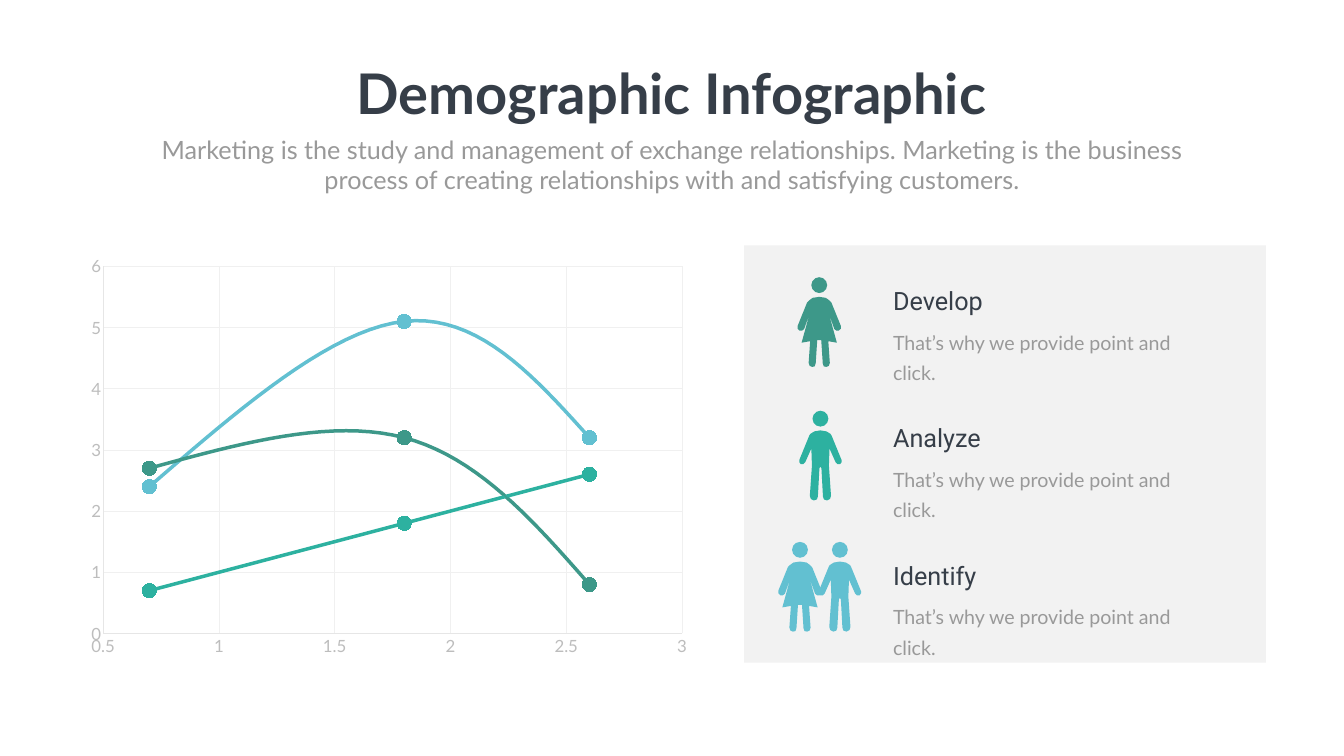
"""Build the demographic infographic slide."""
from lxml import etree
from pptx import Presentation
from pptx import util as u
from pptx.chart import data
from pptx.dml import color
from pptx.enum import chart as kinds, shapes, text
from pptx.oxml import ns

NAVY = color.RGBColor(0x36, 0x3E, 0x48)
GREY = color.RGBColor(0x99, 0x99, 0x99)
PALE = color.RGBColor(0xBD, 0xBD, 0xBD)
AXIS = color.RGBColor(0xE6, 0xE6, 0xE6)
GRID = color.RGBColor(0xF0, 0xF0, 0xF0)
PANEL = color.RGBColor(0x80, 0x80, 0x80)
GREEN = color.RGBColor(0x3D, 0x98, 0x89)
TEAL = color.RGBColor(0x2D, 0xB1, 0xA0)
BLUE = color.RGBColor(0x62, 0xC0, 0xD1)

TITLE = {"name": "Lato", "size": u.Pt(80), "bold": True}
LEAD = {"name": "Lato", "size": u.Pt(36), "bold": False}
HEAD = {"name": "Roboto", "size": u.Pt(36)}
BODY = {"name": "Lato", "size": u.Pt(28)}
TICK = {"name": "Lato", "size": u.Pt(24)}

MAN = [(0, 0), (12, 2), (20, 7), (22, 10), (42, 59), (42, 63), (39, 67),
       (34, 67), (30, 63), (18, 36), (17, 66), (17, 72), (21, 130), (19, 136),
       (13, 139), (7, 137), (5, 131), (2, 75), (0, 72)]
WOMAN = [(0, 0), (13, 2), (20, 7), (24, 11), (43, 58), (43, 63), (39, 67),
         (34, 67), (30, 64), (19, 33), (35, 91), (18, 88), (21, 131), (19, 137),
         (14, 139), (9, 138), (7, 132), (4, 86), (0, 86)]
PEOPLE = [(WOMAN, 41.28, 13.97, GREEN), (MAN, 41.34, 20.7, TEAL),
          (MAN, 42.32, 27.31, BLUE), (WOMAN, 40.31, 27.31, BLUE)]

XS = [0.7, 1.8, 2.6]
SERIES = [([2.7, 3.2, 0.8], GREEN, 1.5, 5), ([0.7, 1.8, 2.6], TEAL, 5, 20),
          ([2.7, 3.2, 0.8], GREEN, 5, 20), ([2.4, 5.1, 3.2], BLUE, 5, 20)]


def apply(item, values):
    """Set each named value on an object."""
    for name, value in values.items():
        setattr(item, name, value)


def place(box):
    """Turn left, top, width and height in centimetres into lengths."""
    return [u.Cm(side) for side in box]


def paint(shape, tint):
    """Give a shape a plain fill without line or shadow."""
    shape.fill.solid()
    shape.fill.fore_color.rgb = tint
    shape.line.fill.background()
    shape.shadow.inherit = False


def write(shape, words, look, tint, align, wrap=True):
    """Write one formatted paragraph into a shape."""
    frame = shape.text_frame
    apply(frame, {"text": words, "word_wrap": wrap,
                  "auto_size": text.MSO_AUTO_SIZE.NONE,
                  "vertical_anchor": text.MSO_ANCHOR.TOP})
    para = frame.paragraphs[0]
    apply(para, {"alignment": align, "space_before": u.Pt(0)})
    apply(para.font, look)
    para.font.color.rgb = tint
    return para


def fill_holder(holder, box, *style):
    """Move a placeholder and write its centred text."""
    apply(holder, dict(zip(("left", "top", "width", "height"), place(box))))
    write(holder, *style[:3], text.PP_ALIGN.CENTER, *style[3:])


def add_item(slide, top, title):
    """Add a heading with its short description."""
    left = text.PP_ALIGN.LEFT
    head = slide.shapes.add_textbox(*place((44.75, top, 11.2, 1.8)))
    write(head, title, HEAD, NAVY, left)
    body = slide.shapes.add_textbox(*place((44.75, top + 1.96, 16.7, 1.63)))
    para = write(body, "That’s why we provide point and click.", BODY, GREY, left)
    para.line_spacing = u.Pt(43)


def add_person(slide, half, mid, top, tint):
    """Draw a symmetric figure from one half outline and a round head."""
    group = slide.shapes.add_group_shape().shapes
    points = half + [(-x, y) for x, y in reversed(half)]
    pen = group.build_freeform(*points[0], scale=u.Cm(2.54) / 100)
    pen.add_line_segments(points[1:])
    paint(pen.convert_to_shape(u.Cm(mid), u.Cm(top + 0.99)), tint)
    disc = place((mid - 0.4, top, 0.8, 0.8))
    paint(group.add_shape(shapes.MSO_SHAPE.OVAL, *disc), tint)


def add_panel(slide):
    """Add the translucent panel behind the items."""
    box = place((37.49, 12.37, 26.29, 21.03))
    panel = slide.shapes.add_shape(shapes.MSO_SHAPE.RECTANGLE, *box)
    paint(panel, PANEL)
    tint = panel.fill._xPr.find(".//" + ns.qn("a:srgbClr"))
    etree.SubElement(tint, ns.qn("a:alpha"), val="10000")


def rule(line, tint, width):
    """Colour a line and set its width."""
    line.color.rgb = tint
    line.width = u.Pt(width)


def style_axis(axis, low, high, step):
    """Set the range, labels, line and grid of an axis."""
    none = kinds.XL_TICK_MARK.NONE
    apply(axis, {"minimum_scale": low, "maximum_scale": high, "major_unit": step,
                 "major_tick_mark": none, "minor_tick_mark": none,
                 "has_major_gridlines": True})
    apply(axis.tick_labels, {"number_format": "General",
                             "number_format_is_linked": False})
    apply(axis.tick_labels.font, TICK)
    axis.tick_labels.font.color.rgb = PALE
    rule(axis.format.line, AXIS, 0.75)
    rule(axis.major_gridlines.format.line, GRID, 0.75)


def set_plot(chart, **sides):
    """Fix the inner plot area as fractions of the chart."""
    area = chart._chartSpace.chart.plotArea
    for old in area.findall(ns.qn("c:layout")):
        area.remove(old)
    layout = etree.Element(ns.qn("c:layout"))
    area.insert(0, layout)
    manual = etree.SubElement(layout, ns.qn("c:manualLayout"))
    values = {"layoutTarget": "inner", "xMode": "edge", "yMode": "edge", **sides}
    for name, value in values.items():
        etree.SubElement(manual, ns.qn("c:" + name), val=str(value))


def add_curves(slide):
    """Add the smooth scatter chart."""
    table = data.XyChartData()
    for count, (ys, *_) in enumerate(SERIES, 1):
        row = table.add_series(f"Series {count}")
        for x, y in zip(XS, ys):
            row.add_data_point(x, y)
    box = place((3.94, 12.37, 31.37, 21.03))
    kind = kinds.XL_CHART_TYPE.XY_SCATTER_SMOOTH
    chart = slide.shapes.add_chart(kind, *box, table).chart
    apply(chart, {"has_legend": False, "has_title": False})
    apply(chart.font, TICK)
    chart.font.color.rgb = GREY
    plot = chart.plots[0]
    plot.vary_by_categories = False
    for row, (_, tint, width, size) in zip(plot.series, SERIES):
        rule(row.format.line, tint, width)
        mark = row.marker
        apply(mark, {"style": kinds.XL_MARKER_STYLE.CIRCLE, "size": size})
        mark.format.fill.solid()
        mark.format.fill.fore_color.rgb = tint
        mark.format.line.color.rgb = tint
        smooth = row._element.get_or_add_smooth()
        smooth.val = True
    style_axis(chart.category_axis, 0.5, 3, 0.5)
    style_axis(chart.value_axis, 0, 6, 1)
    set_plot(chart, x=0.04, y=0.05, w=0.93, h=0.88)


def main():
    """Build and save the slide."""
    deck = Presentation()
    apply(deck, {"slide_width": u.Cm(67.72), "slide_height": u.Cm(38.1)})
    slide = deck.slides.add_slide(deck.slide_layouts[0])
    title, lead = slide.placeholders
    fill_holder(title, (17.42, 2.84, 32.84, 3.68),
                "Demographic Infographic", TITLE, NAVY, False)
    fill_holder(lead, (7.42, 6.63, 52.88, 3.33),
                "Marketing is the study and management of exchange relationships. "
                "Marketing is the business process of creating relationships with "
                "and satisfying customers.", LEAD, GREY)
    add_curves(slide)
    add_panel(slide)
    for row, name in enumerate(("Develop", "Analyze", "Identify")):
        add_item(slide, 14.27 + 6.91 * row, name)
    for person in PEOPLE:
        add_person(slide, *person)
    deck.save("out.pptx")


if __name__ == "__main__":
    main()
